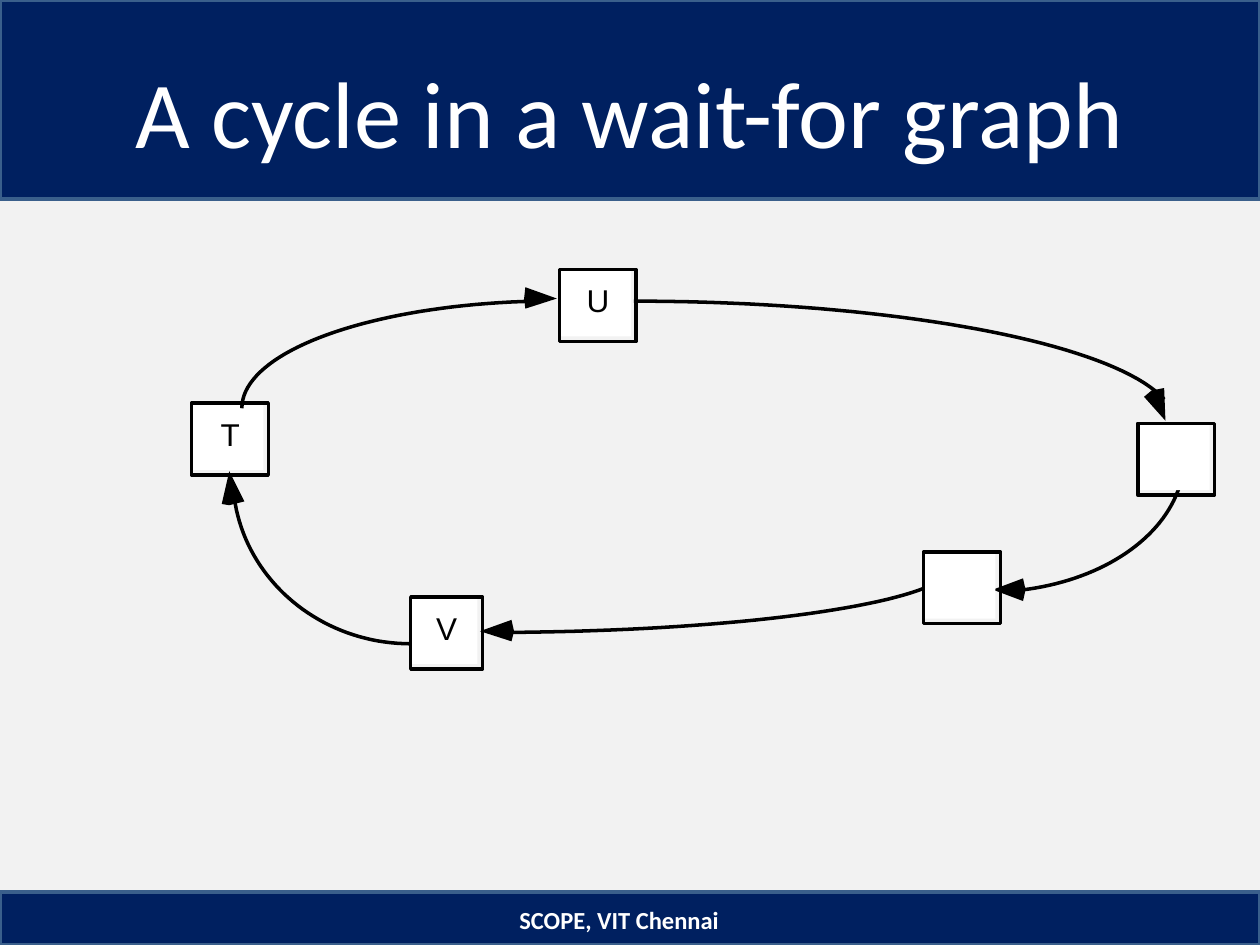
from pptx import Presentation
from pptx.dml.color import RGBColor
from pptx.enum.shapes import MSO_SHAPE as Shape
from pptx.enum.text import MSO_ANCHOR as Anchor, PP_ALIGN as Align
from pptx.util import Inches, Pt

NAVY = RGBColor(0x00, 0x20, 0x60)
EDGE = RGBColor(0x3A, 0x5F, 0x8B)
PAPER = RGBColor(0xF2, 0xF2, 0xF2)
WHITE = RGBColor(0xFF, 0xFF, 0xFF)
BLACK = RGBColor(0x00, 0x00, 0x00)

WIDTH, HEIGHT = 10, 7.5
CELL = 0.1  # graph grid pitch in inches
CURVE_STEPS = 40

# Node: column, row, width in columns, letter, letter width
LETTERED_NODES = [
    (29.4, 0.4, 6.1, "U", 1.8),
    (17.6, 26.4, 5.7, "V", 1.7),
    (0.2, 11, 6.1, "T", 1.5),
]
PLAIN_NODES = [(58.3, 22.8, 6.1, "", 0), (75.3, 12.6, 6.1, "", 0)]

# Edge: four Bezier points, then the head's rounded base and its tip
EDGES = [
    ([(4.2, 11.4), (4.2, 6.9), (14.4, 3.2), (27.5, 2.9)],  # T to U
     [(26.7, 3.5), (26.6, 2.7), (26.7, 1.8), (29.2, 2.7)]),
    ([(17.6, 30.1), (10.5, 30.1), (4.5, 25.1), (3.6, 18.5)],  # V to T
     [(4.4, 18.8), (3.2, 19.1), (2.6, 19), (3.2, 16.4)]),
    ([(35.3, 2.9), (55.8, 2.9), (73.4, 6.2), (77.4, 10.7)],  # U to right node
     [(75.8, 10.5), (76.4, 10), (77.4, 9.8), (77.5, 12.4)]),
    ([(79, 15.2), (79, 20.7), (73.2, 25.2), (65.4, 25.9)],  # right to lower node
     [(66.2, 24.9), (66.4, 25.8), (66.2, 26.7), (63.8, 25.8)]),
    ([(60.7, 23.8), (60.7, 26.7), (44.8, 29.1), (24.8, 29.2)],  # lower node to V
     [(25.6, 28.2), (25.8, 29.1), (25.6, 29.9), (23.1, 29.1)]),
]


def paint(shape, fill=None, line=None):
    shape.shadow.inherit = False
    if fill is None:
        shape.fill.background()
    else:
        shape.fill.solid()
        shape.fill.fore_color.rgb = fill
    if line is None:
        shape.line.fill.background()
    else:
        shape.line.color.rgb = line
        shape.line.width = Pt(2)


def add_rect(slide, box, fill=None, line=None):
    rect = slide.shapes.add_shape(Shape.RECTANGLE, *map(Inches, box))
    paint(rect, fill, line)


def add_label(slide, box, text, size, font, color, bold=False):
    label = slide.shapes.add_textbox(*map(Inches, box))
    frame = label.text_frame
    frame.word_wrap = True
    frame.vertical_anchor = Anchor.MIDDLE
    paragraph = frame.paragraphs[0]
    paragraph.alignment = Align.CENTER
    run = paragraph.add_run()
    run.text = text
    run.font.size = Pt(size)
    run.font.name = font
    run.font.bold = bold
    run.font.color.rgb = color
    return frame


def add_band(slide, box, label_box, text, size, bold=False):
    """A navy strip with its white caption; label_box is relative to box."""
    left, top = box[:2]
    dx, dy, width, height = label_box
    add_rect(slide, box, NAVY, EDGE)
    add_label(slide, (left + dx, top + dy, width, height), text, size, "Calibri", WHITE, bold)


def bezier(p0, p1, p2, p3):
    for step in range(CURVE_STEPS + 1):
        t = step / CURVE_STEPS
        u = 1 - t
        yield tuple(u**3 * a + 3 * u * u * t * b + 3 * u * t * t * c + t**3 * d
                    for a, b, c, d in zip(p0, p1, p2, p3))


def add_graph(slide, box):
    """The wait-for graph, laid out on a grid that starts at the box corner."""
    left, top = box

    def place(column, row):
        return left + column * CELL, top + row * CELL

    def add_outline(points, close):
        start, *rest = [tuple(map(Inches, place(*point))) for point in points]
        builder = slide.shapes.build_freeform(*start)
        builder.add_line_segments(rest, close=close)
        return builder.convert_to_shape()

    def add_node(column, row, columns, letter, letter_columns):
        x, y = place(column, row)
        width, height = columns * CELL, 0.57
        add_rect(slide, (x, y, width - 0.04, height - 0.04), WHITE)
        add_rect(slide, (x, y, width, height), line=BLACK)
        if letter:
            letter_width = letter_columns * CELL
            letter_box = (x + (width - letter_width) / 2, y + 0.09, letter_width, 0.3)
            frame = add_label(slide, letter_box, letter, 18, "Arial", BLACK)
            frame.word_wrap = False
            frame.margin_left = frame.margin_right = 0
            frame.margin_top = frame.margin_bottom = 0

    for node in LETTERED_NODES:
        add_node(*node)
    for curve, head in EDGES:
        paint(add_outline(head, close=True), fill=BLACK)
        paint(add_outline(bezier(*curve), close=False), line=BLACK)
    # The plain nodes cover the ends of their edges
    for node in PLAIN_NODES:
        add_node(*node)


def main():
    deck = Presentation()
    deck.slide_width, deck.slide_height = Inches(WIDTH), Inches(HEIGHT)
    slide = deck.slides.add_slide(deck.slide_layouts[6])
    slide.background.fill.solid()
    slide.background.fill.fore_color.rgb = PAPER

    # Title band, graph, footer band
    add_band(slide, (0, 0, WIDTH, 1.58), (0.33, 0.25, 9.33, 1.25),
             "A cycle in a wait-for graph", 54)
    add_graph(slide, (1.5, 2.1))
    add_band(slide, (0, HEIGHT - 0.42, WIDTH, 0.42), (2.75, 0.02, 4.33, 0.4),
             "SCOPE, VIT Chennai", 14, bold=True)
    deck.save("out.pptx")


if __name__ == "__main__":
    main()
